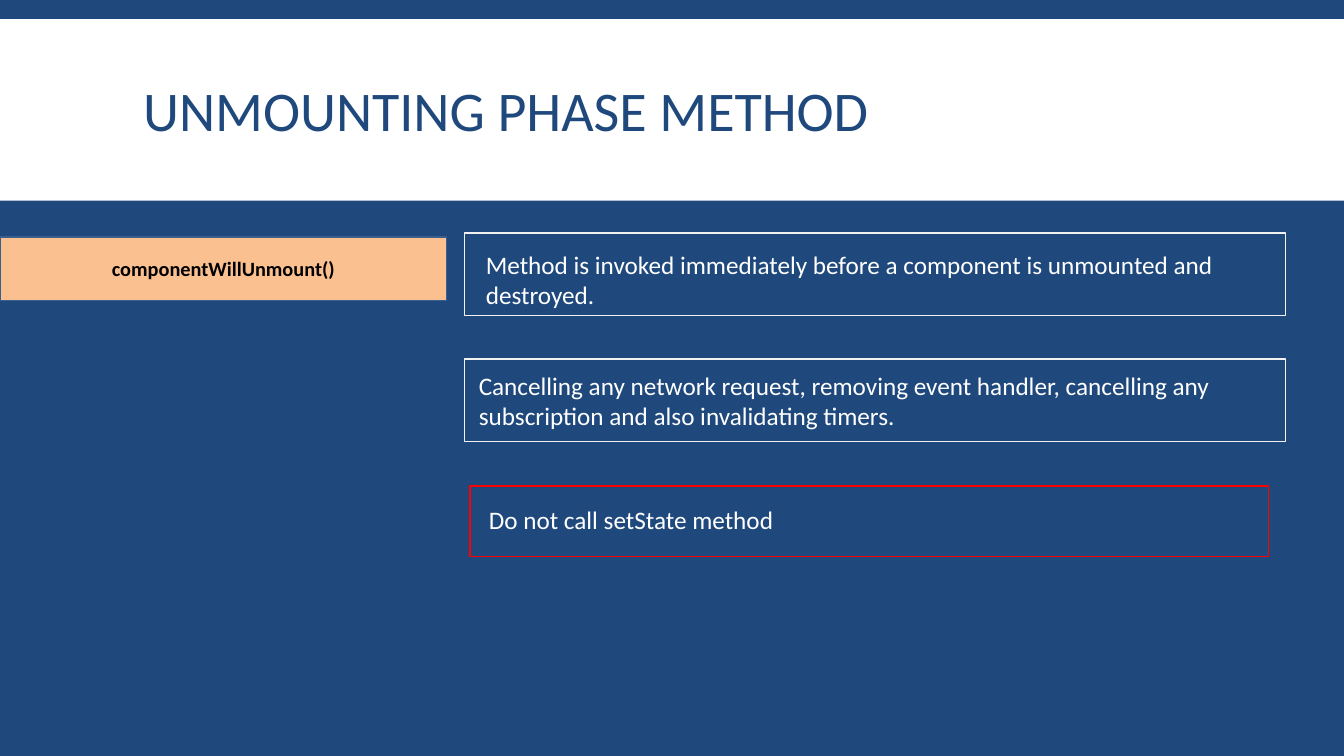
import pptx
import pptx.util
import pptx.dml.color
import pptx.enum.shapes
import pptx.enum.text

Inches = pptx.util.Inches
Pt = pptx.util.Pt
ANCHOR = pptx.enum.text.MSO_ANCHOR
ALIGN = pptx.enum.text.PP_ALIGN

COLORS = {"navy": "1F497D", "white": "FFFFFF", "frame": "F2F2F2", "red": "FF0000",
          "peach": "FAC090", "edge": "3A5F8C", "black": "000000"}
FONT = "Calibri"
TITLE = "UNMOUNTING PHASE METHOD"
METHOD = "componentWillUnmount()"
NOTES = [
    {"text": "Method is invoked immediately before a component is unmounted and destroyed.",
     "frame": (4.61, 2.31, 8.14, 0.82), "line": "frame", "box": (4.72, 2.42, 8.09, 0.71)},
    {"text": "Cancelling any network request, removing event handler, cancelling any "
             "subscription and also invalidating timers.",
     "frame": (4.61, 3.56, 8.14, 0.82), "line": "frame", "box": (4.65, 3.62, 8.09, 0.71)},
    {"text": "Do not call setState method",
     "frame": (4.66, 4.82, 7.92, 0.7), "line": "red", "box": (4.75, 4.95, 3.12, 0.4)},
]


def rgb(name):
    return pptx.dml.color.RGBColor.from_string(COLORS[name])


def add_rect(slide, at, fill=None, line=None):
    sp = slide.shapes.add_shape(pptx.enum.shapes.MSO_SHAPE.RECTANGLE, *map(Inches, at))
    sp.shadow.inherit = False
    if fill:
        sp.fill.solid()
        sp.fill.fore_color.rgb = rgb(fill)
    else:
        sp.fill.background()
    if line:
        sp.line.color.rgb = rgb(line)
        sp.line.width = Pt(1)
    else:
        sp.line.fill.background()
    return sp


def write(sp, text, size, color, bold=False, align=ALIGN.LEFT, anchor=ANCHOR.TOP):
    tf = sp.text_frame
    tf.word_wrap = True
    tf.auto_size = pptx.enum.text.MSO_AUTO_SIZE.NONE
    tf.vertical_anchor = anchor
    p = tf.paragraphs[0]
    p.alignment = align
    r = p.add_run()
    r.text = text
    r.font.name = FONT
    r.font.size = Pt(size)
    r.font.bold = bold
    r.font.color.rgb = rgb(color)
    return p


def main():
    prs = pptx.Presentation()
    prs.slide_width = Inches(13.33)
    prs.slide_height = Inches(7.5)
    slide = prs.slides.add_slide(prs.slide_layouts[5])
    slide.background.fill.solid()
    slide.background.fill.fore_color.rgb = rgb("navy")

    title = slide.shapes.title
    title.left, title.top, title.width, title.height = map(Inches, (1.32, 0.31, 10.7, 1.65))
    p = write(title, TITLE, 40, "navy", anchor=ANCHOR.MIDDLE)
    p.line_spacing = 0.85

    band = add_rect(slide, (0, 0.19, 13.33, 1.8), fill="white")
    title.element.addprevious(band.element)

    method = add_rect(slide, (0, 2.35, 4.43, 0.63), fill="peach", line="edge")
    write(method, METHOD, 14.5, "black", bold=True, align=ALIGN.CENTER, anchor=ANCHOR.MIDDLE)

    for note in NOTES:
        add_rect(slide, note["frame"], line=note["line"])
        box = slide.shapes.add_textbox(*map(Inches, note["box"]))
        write(box, note["text"], 18, "white")

    prs.save("out.pptx")


if __name__ == "__main__":
    main()
